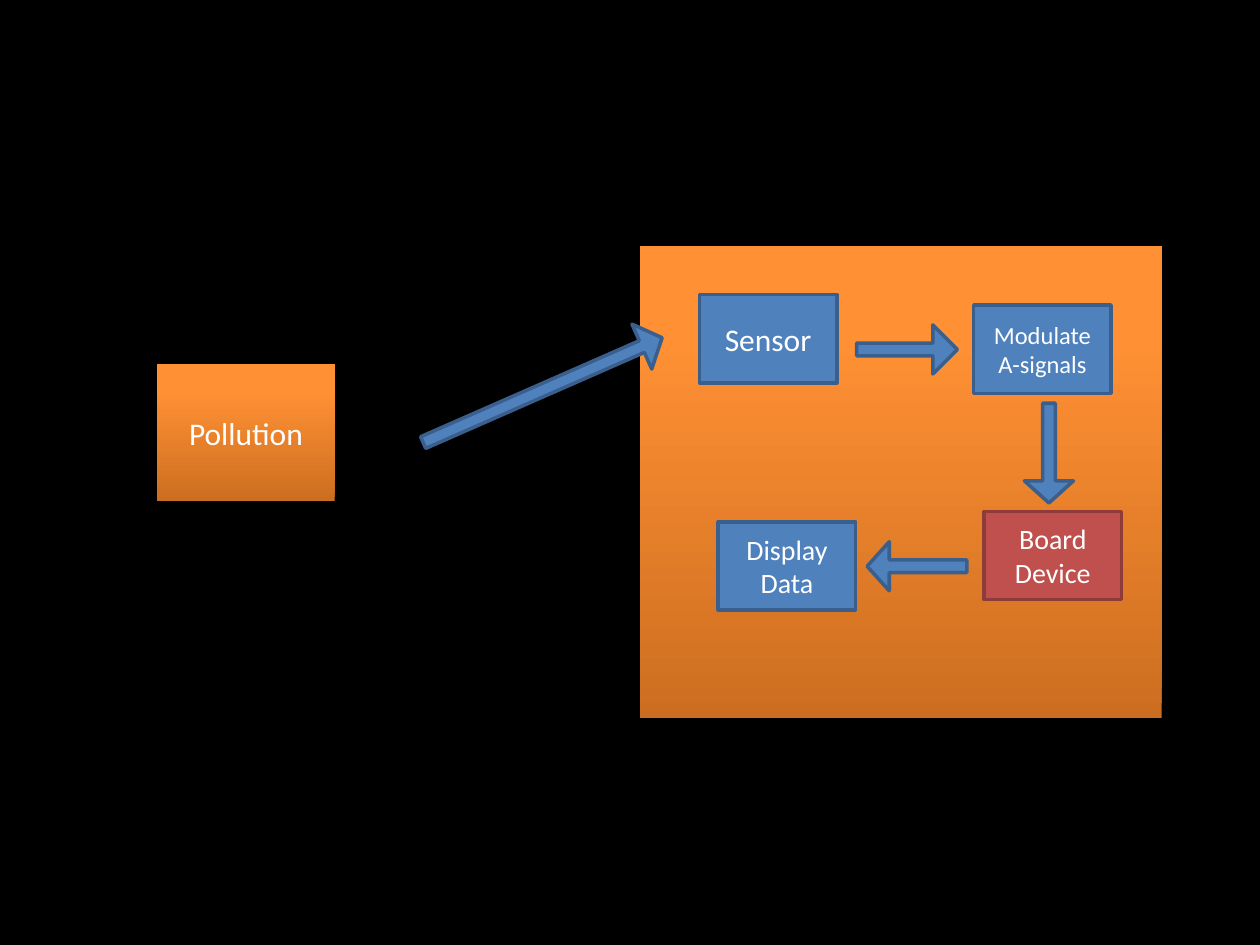
from copy import deepcopy

from pptx import Presentation
from pptx.dml.color import RGBColor
from pptx.enum.shapes import MSO_SHAPE as Preset
from pptx.enum.text import MSO_ANCHOR as Anchor, PP_ALIGN as Align
from pptx.oxml.ns import qn
from pptx.util import Cm, Pt

COLORS = {
    "background": "000000",
    "text": "FFFFFF",
    "blue": "4F81BD",
    "blue_edge": "3A5F8C",
    "red": "C0504D",
    "red_edge": "8E3B39",
}
ORANGE_STOPS = [(0, "CC6E20"), (0.8, "FF9034"), (1, "FF9136")]
FONT = "Calibri"
BOX_SIZE = (2.77, 1.78)
ARROW_HEIGHT = 0.99


class FlowSlide:
    def __init__(self, deck):
        self.page = deck.slides.add_slide(deck.slide_layouts[6])
        fill = self.page.background.fill
        fill.solid()
        fill.fore_color.rgb = self.color("background")

    def color(self, name):
        return RGBColor.from_string(COLORS[name])

    def shape(self, preset, left, top, width, height):
        shape = self.page.shapes.add_shape(
            preset, Cm(left), Cm(top), Cm(width), Cm(height))
        shape.shadow.inherit = False
        return shape

    def paint(self, shape, name):
        shape.fill.solid()
        shape.fill.fore_color.rgb = self.color(name)
        shape.line.color.rgb = self.color(name + "_edge")
        shape.line.width = Pt(2)

    def label(self, shape, text, size):
        frame = shape.text_frame
        frame.word_wrap = True
        frame.vertical_anchor = Anchor.MIDDLE
        frame.text = text
        for para in frame.paragraphs:
            para.alignment = Align.CENTER
            for span in para.runs:
                span.font.name = FONT
                span.font.size = Pt(size)
                span.font.color.rgb = self.color("text")

    def panel(self, left, top, width, height, text="", size=18):
        panel = self.shape(Preset.RECTANGLE, left, top, width, height)
        panel.line.fill.background()
        panel.fill.gradient()
        panel.fill.gradient_angle = 90
        # A new gradient has two stops; the third is added here
        gradient = panel._element.spPr.find(qn("a:gradFill"))
        stop_list = gradient.find(qn("a:gsLst"))
        stop_list.append(deepcopy(stop_list[-1]))
        for stop, (position, value) in zip(panel.fill.gradient_stops, ORANGE_STOPS):
            stop.position = position
            stop.color.rgb = RGBColor.from_string(value)
        if text:
            self.label(panel, text, size)

    def box(self, left, top, text, size, color="blue"):
        box = self.shape(Preset.RECTANGLE, left, top, *BOX_SIZE)
        self.paint(box, color)
        self.label(box, text, size)

    def arrow(self, left, top, width, rotation=0, head=0.45):
        arrow = self.shape(Preset.RIGHT_ARROW, left, top, width, ARROW_HEIGHT)
        arrow.adjustments[0] = 0.26
        arrow.adjustments[1] = head
        arrow.rotation = rotation
        self.paint(arrow, "blue")


def main():
    deck = Presentation()
    deck.slide_width, deck.slide_height = Cm(25.4), Cm(19.05)
    flow = FlowSlide(deck)

    # Pollution source and the device that measures it
    flow.panel(3.17, 7.34, 3.58, 2.77, "Pollution")
    flow.panel(12.9, 4.95, 10.52, 9.53)
    flow.arrow(8.31, 7.37, 5.26, rotation=336.3)

    # Processing steps, clockwise from the sensor
    flow.box(14.1, 5.94, "Sensor", 18)
    flow.arrow(17.27, 6.55, 2.03, head=0.5)
    flow.box(19.63, 6.15, "Modulate A-signals", 14)
    flow.arrow(20.14, 8.64, 2.01, rotation=90)
    flow.box(19.84, 10.31, "Board Device", 16, color="red")
    flow.arrow(17.48, 10.92, 2.01, rotation=180)
    flow.box(14.48, 10.52, "Display\nData", 16)

    deck.save("out.pptx")


if __name__ == "__main__":
    main()
